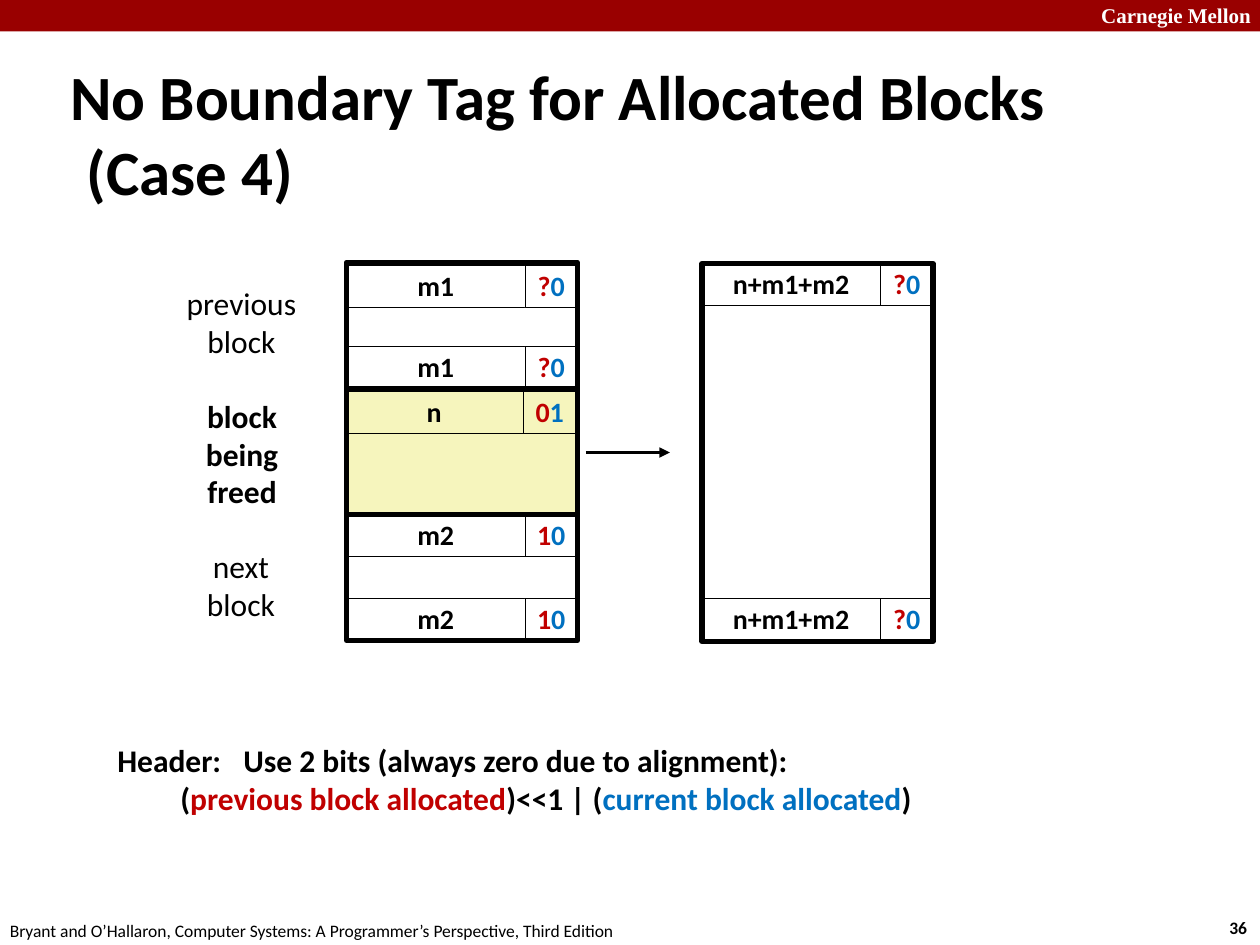
import pptx
import pptx.dml.color
import pptx.enum.shapes
import pptx.enum.text
import pptx.oxml
import pptx.util

RED, BLUE, BLACK, WHITE = "C00000", "0070C0", "000000", "FFFFFF"
CREAM = "F6F5BD"
FREE, USED = "0", "1"
WIDE, TAG, ROW = 17, 5, 4  # size cell, bits cell and cell height, in grid units
FULL = WIDE + TAG
ALIGN = pptx.enum.text.PP_ALIGN
ANCHOR = pptx.enum.text.MSO_ANCHOR
SHAPE = pptx.enum.shapes.MSO_SHAPE


def color(code):
    return pptx.dml.color.RGBColor.from_string(code)


def grid(*units):
    """Turn grid units, twelve to the inch, into lengths."""
    return [pptx.util.Inches(u / 12) for u in units]


def add_xml(parent, tag, **attrs):
    node = pptx.oxml.parse_xml(
        f'<a:{tag} xmlns:a="http://schemas.openxmlformats.org/drawingml/2006/main"/>')
    for key, value in attrs.items():
        node.set(key, value)
    parent.append(node)


class Page:
    def __init__(self, deck, font="Calibri"):
        self.slide = deck.slides.add_slide(deck.slide_layouts[5])
        self.shapes = self.slide.shapes
        self.font = font

    def add_runs(self, para, runs, size, bold=False, font=None):
        """Add (text, colour) runs; a None run is a line break."""
        for item in runs:
            if item is None:
                para.add_line_break()
                continue
            run = para.add_run()
            run.text = item[0]
            run.font.size = pptx.util.Pt(size)
            run.font.name = font or self.font
            run.font.bold = bold
            run.font.color.rgb = color(item[1])

    def title(self, text, *area):
        shape = self.shapes.title
        shape.left, shape.top, shape.width, shape.height = grid(*area)
        frame = shape.text_frame
        frame.auto_size = pptx.enum.text.MSO_AUTO_SIZE.NONE
        frame.vertical_anchor = ANCHOR.MIDDLE
        para = frame.paragraphs[0]
        para.alignment = ALIGN.LEFT
        props = para._p.get_or_add_pPr()
        props.set("marL", str(pptx.util.Inches(0.13)))
        props.set("indent", str(pptx.util.Inches(-0.13)))
        self.add_runs(para, [(text, BLACK)], 36, True)

    def text(self, area, runs, size, bold=False, align=ALIGN.LEFT, font=None, wrap=False):
        frame = self.shapes.add_textbox(*grid(*area)).text_frame
        frame.word_wrap = wrap
        para = frame.paragraphs[0]
        para.alignment = align
        self.add_runs(para, runs, size, bold, font)

    def box(self, area, fill=None, line=0.25, runs=()):
        shape = self.shapes.add_shape(SHAPE.RECTANGLE, *grid(*area))
        shape.shadow.inherit = False
        if fill:
            shape.fill.solid()
            shape.fill.fore_color.rgb = color(fill)
        else:
            shape.fill.background()
        if line:
            shape.line.color.rgb = color(BLACK)
            shape.line.width = pptx.util.Pt(line)
        else:
            shape.line.fill.background()
        if runs:
            frame = shape.text_frame
            frame.word_wrap = False
            frame.vertical_anchor = ANCHOR.MIDDLE
            para = frame.paragraphs[0]
            para.alignment = ALIGN.CENTER
            para.line_spacing = 0.98
            self.add_runs(para, runs, 16, True)

    def header(self, x, y, size, before, now, fill=WHITE):
        """Draw a size cell and its two allocation bits."""
        self.box((x, y, WIDE, ROW), fill, runs=[(size, BLACK)])
        self.box((x + WIDE, y, TAG, ROW), fill, runs=[(before, RED), (now, BLUE)])

    def outline(self, x, y, high):
        self.box((x, y, FULL, high), line=3)

    def arrow(self, x, y, end):
        left, top, right = grid(x, y, end)
        link = self.shapes.add_connector(
            pptx.enum.shapes.MSO_CONNECTOR.STRAIGHT, left, top, right, top)
        link.line.color.rgb = color(BLACK)
        link.line.width = pptx.util.Pt(2)
        add_xml(link.line._get_or_add_ln(), "tailEnd", type="triangle")
        add_xml(link._element.spPr, "effectLst")


def main():
    deck = pptx.Presentation()
    deck.slide_width, deck.slide_height = grid(120, 90)
    page = Page(deck)

    page.box((0, 0, 120, 3), "990000", line=0)
    page.text((103.7, -0.36, 17.16, 3.6), [("Carnegie Mellon", WHITE)], 12, True,
              font="Times New Roman", wrap=True)
    page.text((115.9, 86.76, 4.44, 3.24), [("36", BLACK)], 10, True)
    page.text((-0.24, 87, 61, 3.24), [(
        "Bryant and O’Hallaron, Computer Systems: A Programmer’s Perspective, Third Edition",
        BLACK)], 10)
    page.title("No Boundary Tag for Allocated Blocks (Case 4)", 5.5, 8.9, 109, 7.5)

    page.text((10, 70, 84.7, 8.5), [
        ("Header: \tUse 2 bits (always zero due to alignment):", BLACK), None,
        ("\t(", BLACK), ("previous block allocated", RED), (")<<1 | (", BLACK),
        ("current block allocated", BLUE), (")", BLACK)], 18, True)

    for area, words, bold in [
            ((16.4, 26.5, 13.2, 8.5), ["previous", "block"], False),
            ((18.4, 37.2, 9.3, 12.1), ["block", "being", "freed"], True),
            ((18.4, 51.5, 9.1, 8.5), ["next", "block"], False)]:
        runs = [(words[0], BLACK)]
        for word in words[1:]:
            runs += [None, (word, BLACK)]
        page.text(area, runs, 18, bold, ALIGN.CENTER)

    # Before: three blocks of three rows each
    left, top, high = 33, 25, 3 * ROW
    freed, after = top + high, top + 2 * high
    page.box((left, freed + ROW - 0.2, FULL, 2 * ROW), CREAM)
    page.header(left - 0.15, freed + 0.25, "n", "0", USED, CREAM)
    page.outline(left, freed, high)

    page.header(left, after, "m2", "1", FREE)
    page.box((left, after + ROW, FULL, ROW), WHITE)
    page.header(left, after + 2 * ROW, "m2", "1", FREE)
    page.outline(left, after, high)

    page.header(left, top + 0.3, "m1", "?", FREE)
    page.header(left, top + 2 * ROW, "m1", "?", FREE)
    page.outline(left, top, high)

    # After: one merged block
    page.arrow(55.8, 43.1, 63.8)
    right = 66.85
    page.header(right, top + 0.1, "n+m1+m2", "?", FREE)
    page.box((right, top + ROW + 0.1, FULL, 7 * ROW), WHITE)
    page.header(right, top + 8 * ROW, "n+m1+m2", "?", FREE)
    page.outline(right, top + 0.1, 3 * high)

    deck.save("out.pptx")


if __name__ == "__main__":
    main()
